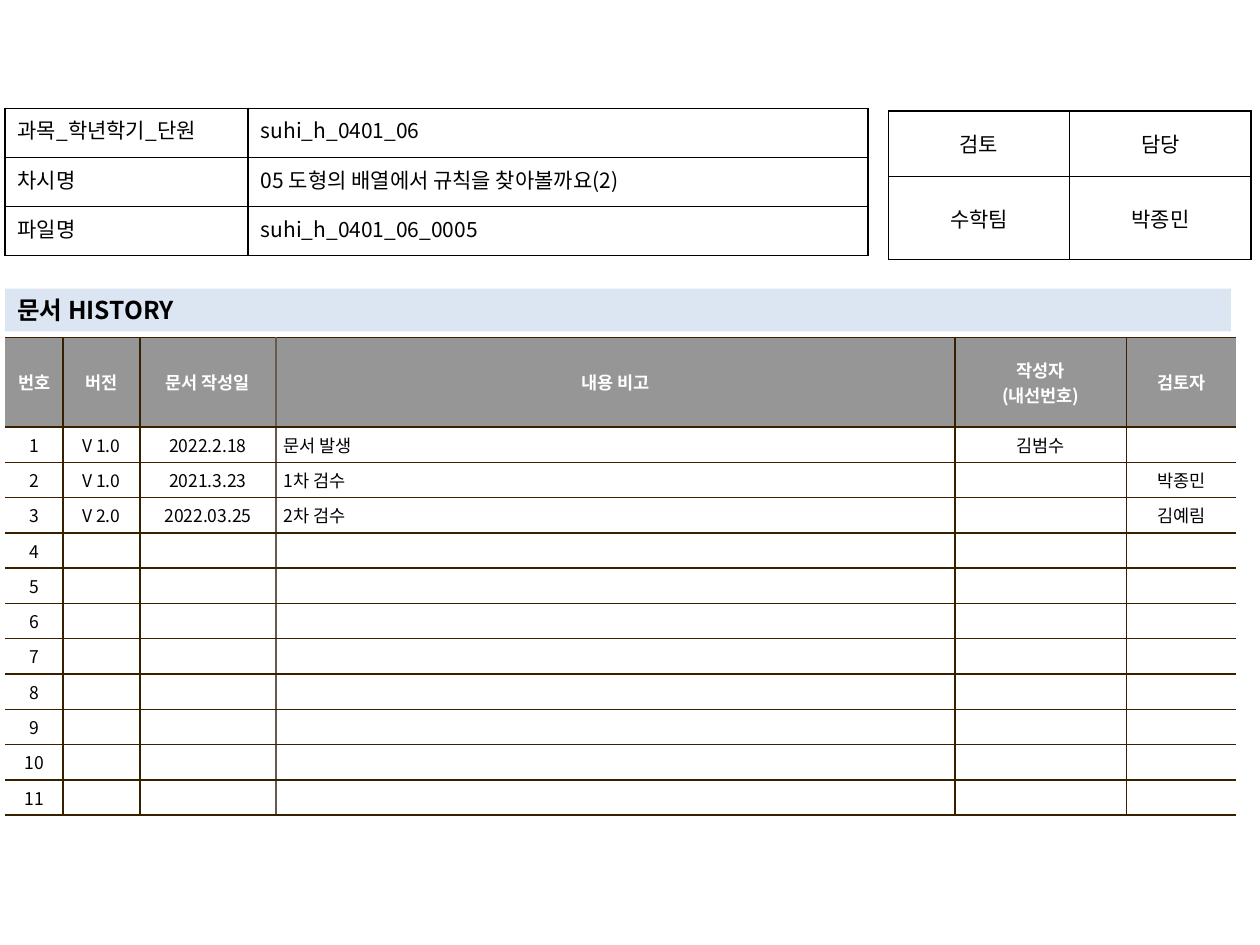
from lxml import etree
from pptx import Presentation
from pptx import util as u
from pptx.dml.color import RGBColor
from pptx.enum import shapes, text
from pptx.oxml.ns import qn

FONT = "Noto Sans CJK KR"
COLORS = {
    "black": "000000",
    "white": "FFFFFF",
    "header": "969696",
    "band": "DCE6F2",
    "grid": "362000",
    "divider": "645B4C",
}
CENTER, LEFT, JUSTIFY = text.PP_ALIGN.CENTER, text.PP_ALIGN.LEFT, text.PP_ALIGN.JUSTIFY
TOP, MIDDLE = text.MSO_ANCHOR.TOP, text.MSO_ANCHOR.MIDDLE

HISTORY_HEADER = ["번호", "버전", "문서 작성일", "내용 비고", "작성자\n(내선번호)", "검토자"]
HISTORY_ENTRIES = [
    ["V 1.0", "2022.2.18", "문서 발생", "김범수", ""],
    ["V 1.0", "2021.3.23", "1차 검수", "", "박종민"],
    ["V 2.0", "2022.03.25", "2차 검수", "", "김예림"],
]
HISTORY_ROWS = 11


def rgb(name):
    return RGBColor.from_string(COLORS[name])


def style_text(frame, size, color="black", bold=False, align=LEFT):
    for paragraph in frame.paragraphs:
        paragraph.alignment = align
        font = paragraph.font
        font.name, font.size, font.bold = FONT, u.Pt(size), bold
        font.color.rgb = rgb(color)
        if not paragraph.text:
            etree.SubElement(paragraph._p, qn("a:endParaRPr"), sz=str(size * 100))


def set_borders(cell, left, right, top, bottom):
    properties = cell._tc.get_or_add_tcPr()
    sides = {"a:lnL": left, "a:lnR": right, "a:lnT": top, "a:lnB": bottom}
    for tag, color in sides.items():
        line = etree.SubElement(properties, qn(tag), w=str(u.Pt(1)))
        if color is None:
            etree.SubElement(line, qn("a:noFill"))
        else:
            fill = etree.SubElement(line, qn("a:solidFill"))
            etree.SubElement(fill, qn("a:srgbClr"), val=COLORS[color])


def fill_cell(cell, color):
    if color is None:
        cell.fill.background()
    else:
        cell.fill.solid()
        cell.fill.fore_color.rgb = rgb(color)


def set_margins(cell, horizontal, vertical):
    cell.margin_left = cell.margin_right = u.Inches(horizontal)
    cell.margin_top = cell.margin_bottom = u.Inches(vertical)


def add_grid(slide, left, top, widths, heights, rows, verticals, horizontal,
             margins=(0.1, 0.05), anchor=MIDDLE):
    table = slide.shapes.add_table(
        len(heights), len(widths), u.Inches(left), u.Inches(top),
        u.Inches(sum(widths)), u.Inches(sum(heights))).table
    table.first_row = table.horz_banding = False
    for column, width in zip(table.columns, widths):
        column.width = u.Inches(width)
    for row, height, values in zip(table.rows, heights, rows):
        row.height = u.Inches(height)
        for index, (cell, value) in enumerate(zip(row.cells, values)):
            cell.text = value
            cell.vertical_anchor = anchor
            set_margins(cell, *margins)
            set_borders(cell, verticals[index], verticals[index + 1], horizontal, horizontal)
    return table


def add_info_table(slide, left, top, widths, heights, rows, aligns, anchor):
    table = add_grid(slide, left, top, widths, heights, rows,
                     ["black"] * (len(widths) + 1), "black", anchor=anchor)
    for row in table.rows:
        for cell, align in zip(row.cells, aligns):
            fill_cell(cell, None)
            style_text(cell.text_frame, 12, align=align)


def add_history_table(slide):
    entries = HISTORY_ENTRIES + [[""] * 5] * (HISTORY_ROWS - len(HISTORY_ENTRIES))
    rows = [HISTORY_HEADER] + [[str(n), *entry] for n, entry in enumerate(entries, 1)]
    table = add_grid(
        slide, 0.04, 2.68, [0.46, 0.61, 1.08, 5.39, 1.36, 0.87],
        [0.71] + [0.25] * HISTORY_ROWS, rows,
        [None, "grid", "grid", "divider", "grid", "grid", None], "grid",
        margins=(0.06, 0.04))
    for row_index, row in enumerate(table.rows):
        header = row_index == 0
        for column_index, cell in enumerate(row.cells):
            fill_cell(cell, "header" if header else "white")
            align = LEFT if column_index == 3 and not header else CENTER
            style_text(cell.text_frame, 10, "white" if header else "black", header, align)


def add_heading(slide, caption):
    shape = slide.shapes.add_shape(
        shapes.MSO_SHAPE.RECTANGLE, u.Inches(0.04), u.Inches(2.29),
        u.Inches(9.73), u.Inches(0.34))
    shape.shadow.inherit = False
    shape.fill.solid()
    shape.fill.fore_color.rgb = rgb("band")
    shape.line.fill.background()
    shape.text_frame.text = caption
    shape.text_frame.vertical_anchor = MIDDLE
    style_text(shape.text_frame, 14, bold=True)


def main():
    presentation = Presentation()
    presentation.slide_width, presentation.slide_height = u.Inches(10), u.Inches(7.5)
    slide = presentation.slides.add_slide(presentation.slide_layouts[6])
    add_history_table(slide)
    add_info_table(slide, 7.05, 0.88, [1.44, 1.44], [0.52, 0.66],
                   [["검토", "담당"], ["수학팀", "박종민"]], [CENTER, CENTER], MIDDLE)
    add_heading(slide, "문서 HISTORY")
    add_info_table(slide, 0.04, 0.86, [1.93, 4.92], [0.39] * 3, [
        ["과목_학년학기_단원", "suhi_h_0401_06"],
        ["차시명", "05 도형의 배열에서 규칙을 찾아볼까요(2)"],
        ["파일명", "suhi_h_0401_06_0005"],
    ], [JUSTIFY, LEFT], TOP)
    presentation.save("out.pptx")


if __name__ == "__main__":
    main()
